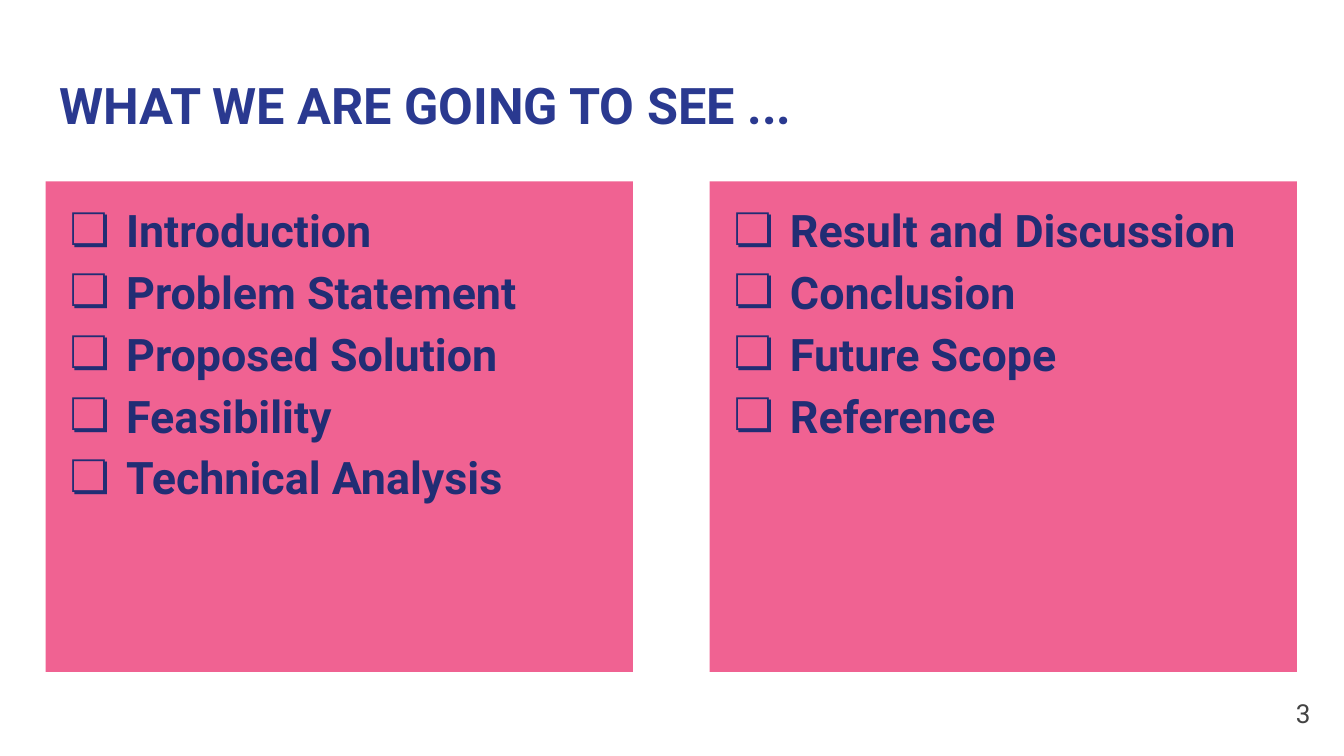
import pptx
import pptx.util
import pptx.dml.color
import pptx.enum.shapes
import pptx.enum.text
import pptx.oxml.ns
import lxml.etree
from pptx.util import Inches
from pptx.enum.text import MSO_ANCHOR, PP_ALIGN

# Content
TITLE = "WHAT WE ARE GOING TO SEE ..."
PANELS = [
    ["Introduction", "Problem Statement", "Proposed Solution", "Feasibility",
     "Technical Analysis"],
    ["Result and Discussion", "Conclusion", "Future Scope", "Reference"],
]
PAGE_NUMBER = "3"

# Style
FONT = "Roboto"
BLUE, NAVY, PINK, GREY = "2A3990", "212D74", "F06292", "434343"
LEFT, TOP, PANEL_W, PANEL_H, PITCH = 0.34, 1.35, 4.37, 3.65, 4.94


def color(value):
    return pptx.dml.color.RGBColor.from_string(value)


def set_frame(tf, anchor):
    tf.word_wrap = True
    tf.auto_size = pptx.enum.text.MSO_AUTO_SIZE.NONE
    tf.vertical_anchor = anchor
    tf.margin_left = tf.margin_right = Inches(0.1)
    tf.margin_top = tf.margin_bottom = Inches(0.1)


def format_paragraph(p, size, text_color, bold=False, align=PP_ALIGN.LEFT):
    p.alignment = align
    for r in p.runs:
        r.font.name = FONT
        r.font.size = pptx.util.Pt(size)
        r.font.bold = bold
        r.font.color.rgb = color(text_color)


def add_bullet(p, char, bullet_color):
    pPr = p._p.get_or_add_pPr()
    pPr.set("marL", str(Inches(0.5)))
    pPr.set("indent", str(Inches(-0.42)))
    qn = pptx.oxml.ns.qn
    clr = lxml.etree.SubElement(pPr, qn("a:buClr"))
    lxml.etree.SubElement(clr, qn("a:srgbClr"), val=bullet_color)
    lxml.etree.SubElement(pPr, qn("a:buFont"), typeface=FONT)
    lxml.etree.SubElement(pPr, qn("a:buChar"), char=char)


# Slide in 16:9
prs = pptx.Presentation()
prs.slide_width = Inches(10)
prs.slide_height = prs.slide_width * 9 // 16
s = prs.slides.add_slide(prs.slide_layouts[5])

# Title
title = s.shapes.title
title.left, title.top = Inches(LEFT), Inches(0.45)
title.width, title.height = Inches(9.32), Inches(0.66)
title.text_frame.text = TITLE
set_frame(title.text_frame, MSO_ANCHOR.TOP)
format_paragraph(title.text_frame.paragraphs[0], 27, BLUE, bold=True)

# Agenda panels
for i, items in enumerate(PANELS):
    sp = s.shapes.add_shape(
        pptx.enum.shapes.MSO_SHAPE.RECTANGLE, Inches(LEFT + i * PITCH),
        Inches(TOP), Inches(PANEL_W), Inches(PANEL_H))
    sp.shadow.inherit = False
    sp.fill.solid()
    sp.fill.fore_color.rgb = color(PINK)
    sp.line.fill.background()
    tf = sp.text_frame
    tf.text = "\n".join(items)
    set_frame(tf, MSO_ANCHOR.TOP)
    for p in tf.paragraphs:
        format_paragraph(p, 24, NAVY, bold=True)
        p.line_spacing = 1.15
        add_bullet(p, "❏", NAVY)

# Page number
number = s.shapes.add_textbox(Inches(9.25), Inches(5.09), Inches(0.6), Inches(0.43))
number.text_frame.text = PAGE_NUMBER
set_frame(number.text_frame, MSO_ANCHOR.MIDDLE)
format_paragraph(number.text_frame.paragraphs[0], 14, GREY, align=PP_ALIGN.RIGHT)

prs.save("out.pptx")
